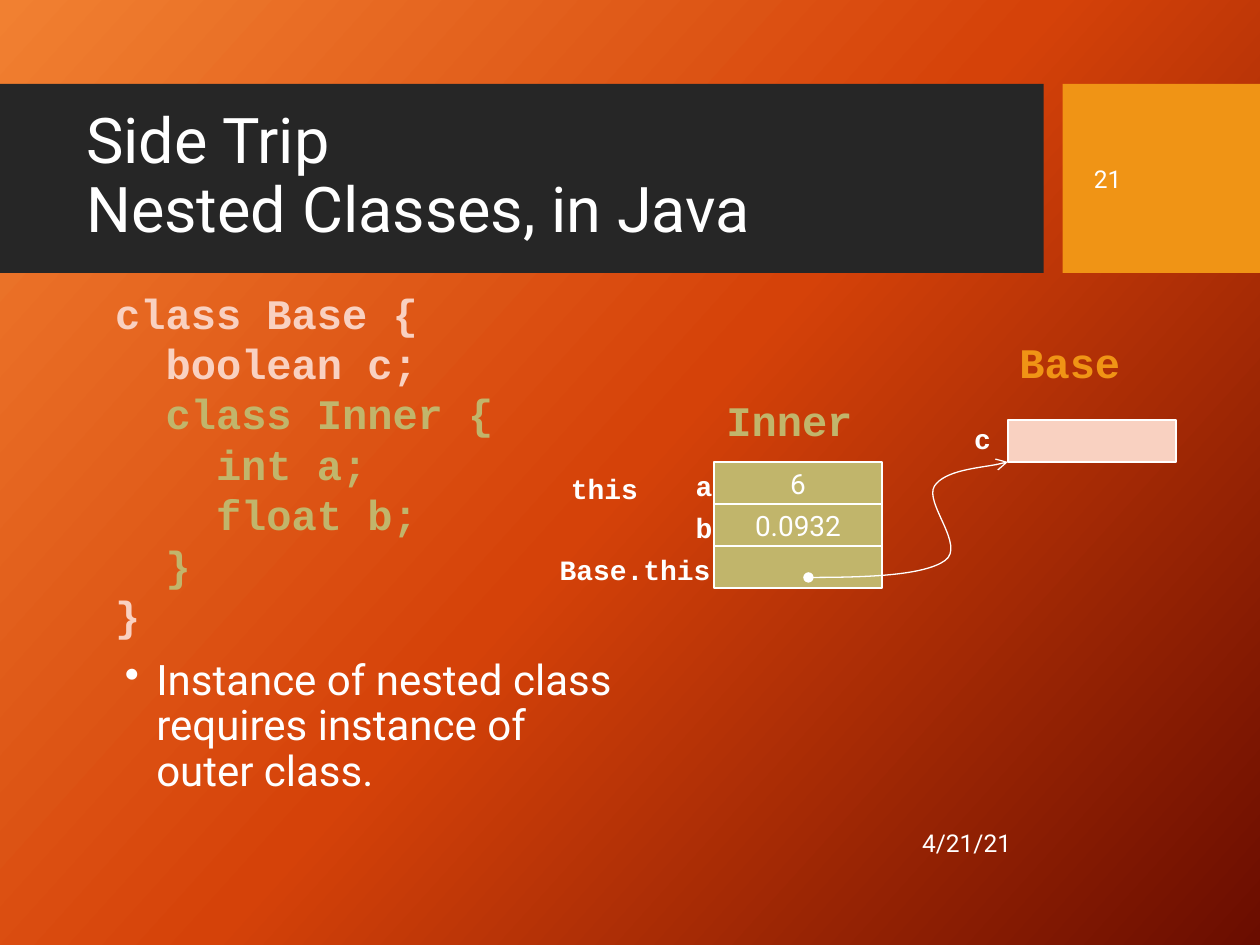
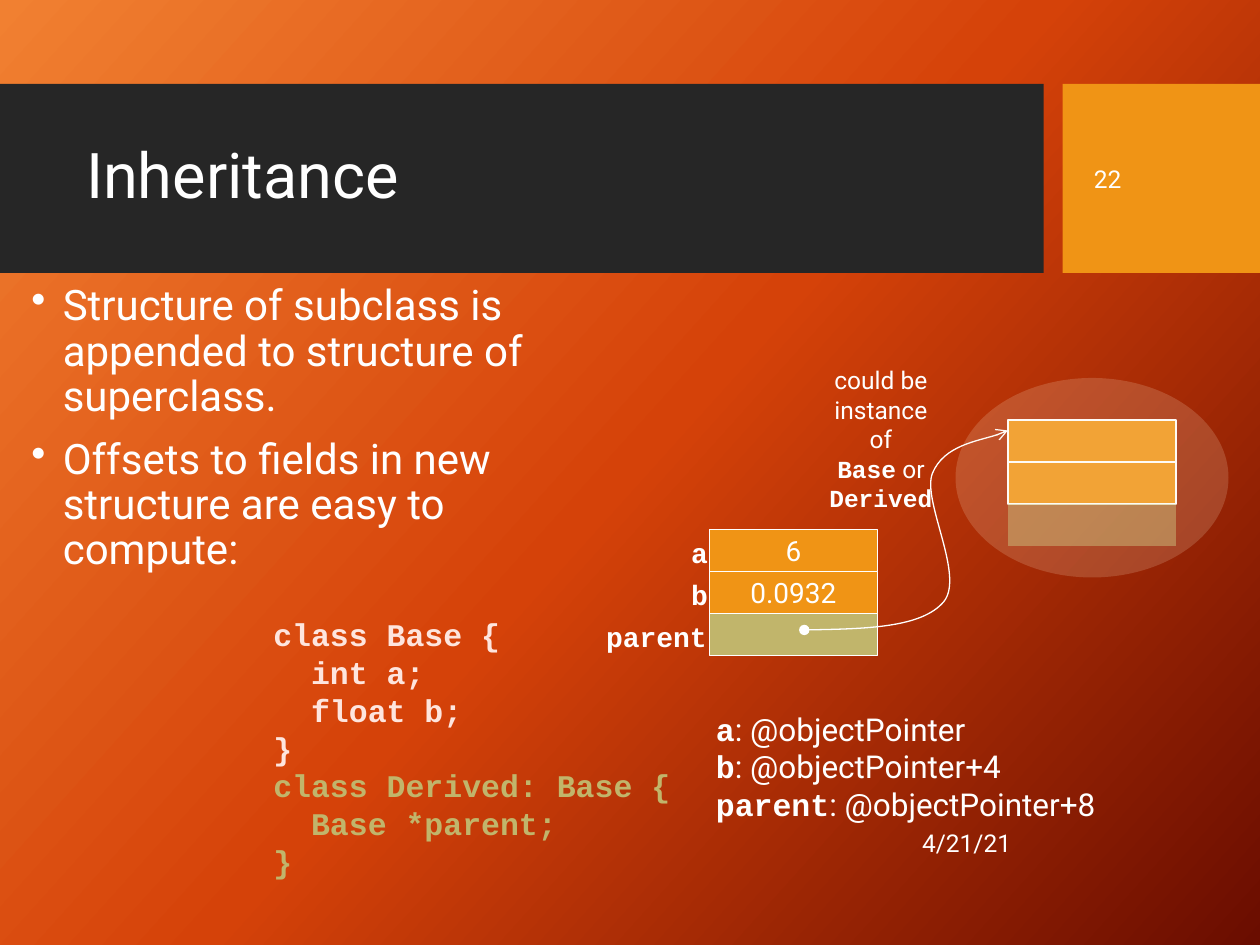
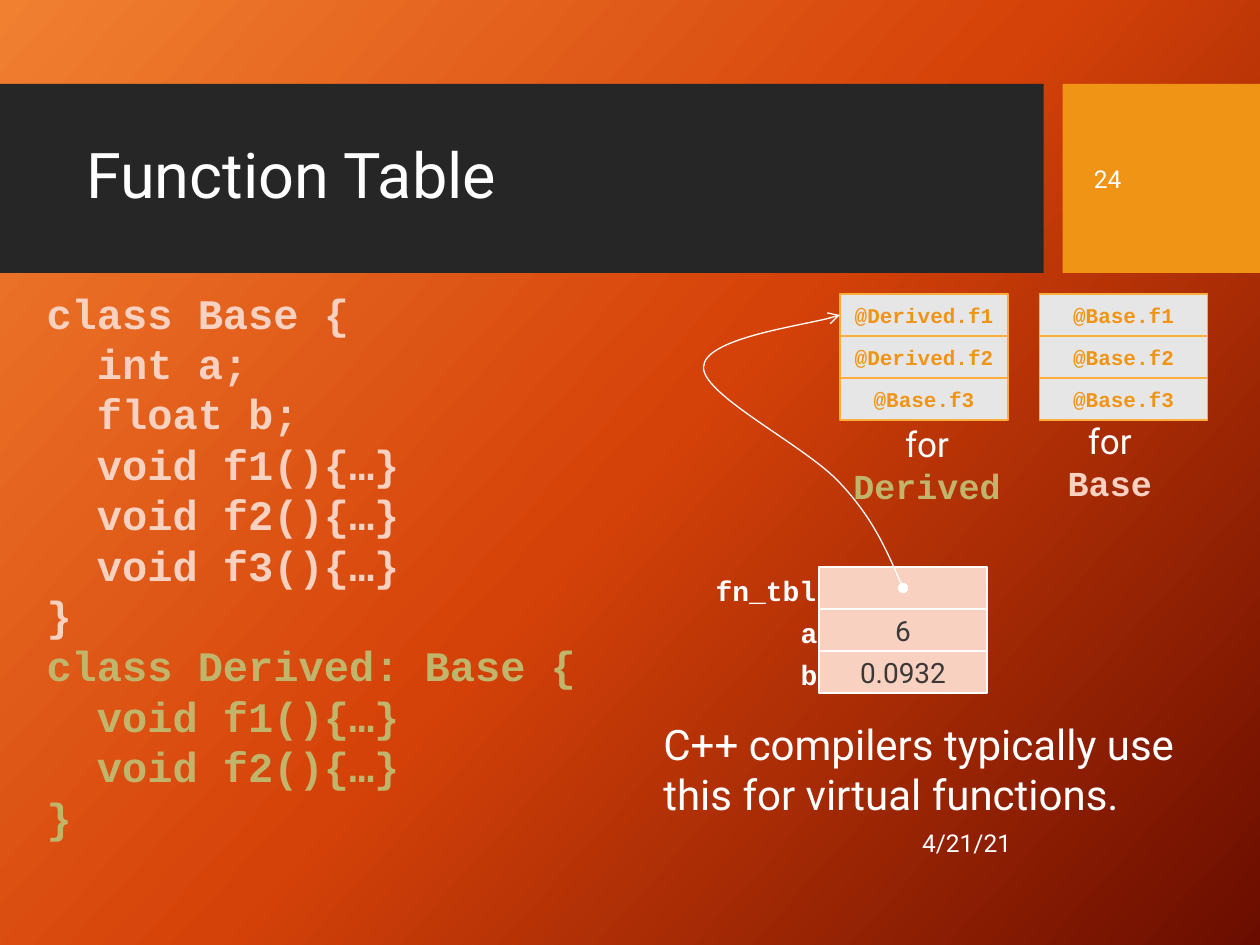
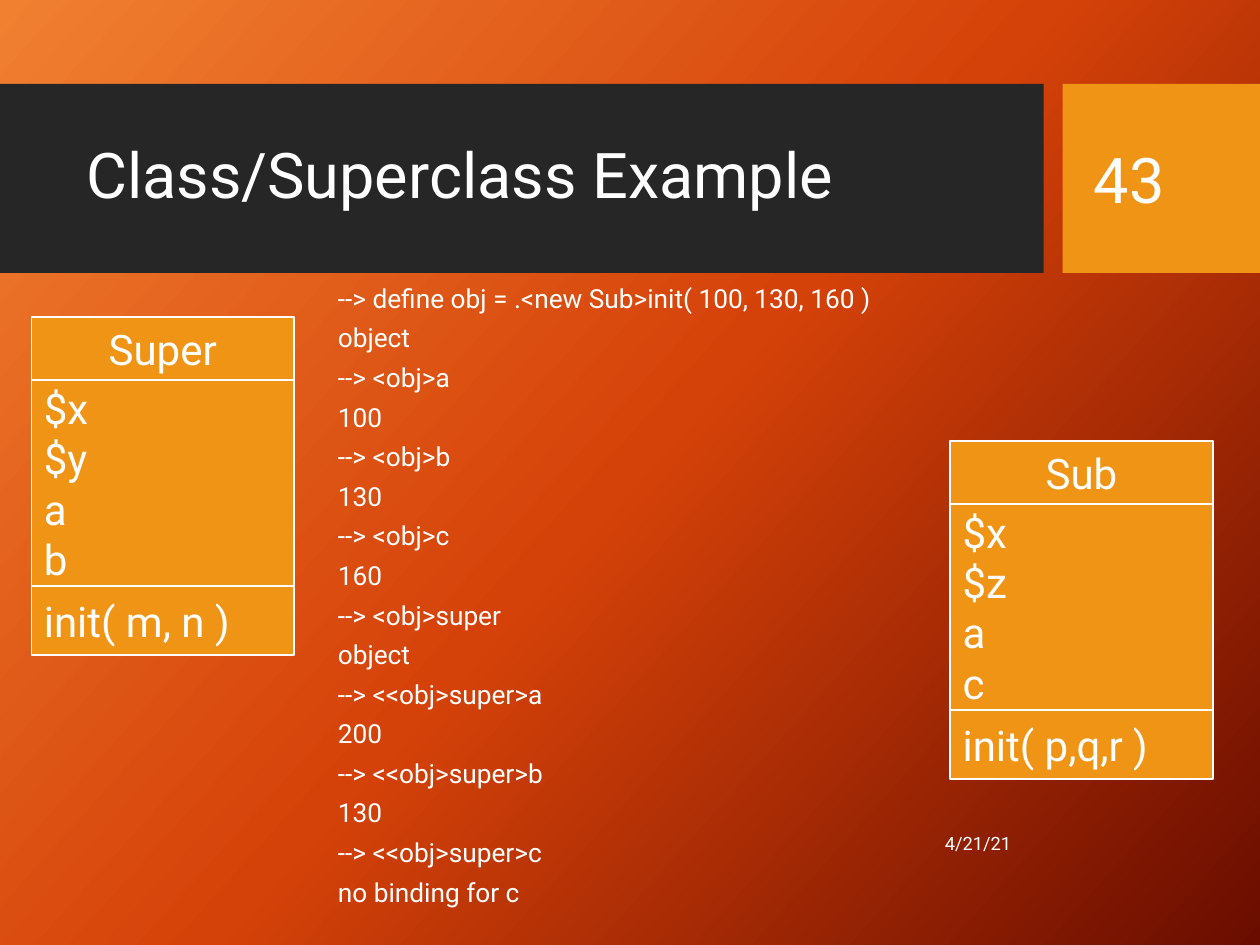
from copy import deepcopy

from lxml import etree
from pptx import Presentation
from pptx.dml.color import RGBColor
from pptx.enum.shapes import MSO_SHAPE
from pptx.enum.text import MSO_ANCHOR, MSO_AUTO_SIZE, PP_ALIGN
from pptx.oxml.ns import qn
from pptx.util import Inches, Pt

RECT, OVAL = MSO_SHAPE.RECTANGLE, MSO_SHAPE.OVAL
LEFT, CENTER, RIGHT = PP_ALIGN.LEFT, PP_ALIGN.CENTER, PP_ALIGN.RIGHT
TOP, MIDDLE = MSO_ANCHOR.TOP, MSO_ANCHOR.MIDDLE
NO_FIT = MSO_AUTO_SIZE.NONE

COLORS = {
    "white": "FFFFFF", "band": "262626", "gold": "F09415", "amber": "FFAE3E",
    "peach": "F9D1C1", "blush": "FEE5DE", "cream": "FCEAD0", "olive": "C1B56B",
    "gray": "E7E6E6", "ink": "3B3838",
    "sky": "F18031", "ember": "D54209", "maroon": "6A0D00",
}
SANS, MONO = "Roboto", "Courier New"
STYLES = {
    "plain": (SANS, "white", False),
    "ink": (SANS, "ink", False),
    "name": (MONO, "white", True),
    "base": (MONO, "peach", True),
    "soft": (MONO, "blush", True),
    "inner": (MONO, "olive", True),
    "entry": (MONO, "gold", True),
}
COLUMNS, ROWS = 120, 90
CELL_W, CELL_H = 16, 4
INSET_W, INSET_H = 2.4, 1.2


def rgb(name):
    return RGBColor.from_string(COLORS[name])


class Deck:
    def __init__(self):
        self.prs = Presentation()
        self.prs.slide_width, self.prs.slide_height = Inches(10), Inches(7.5)
        self.slide = None
        self.paint_background()

    def x(self, columns):
        return round(self.prs.slide_width * columns / COLUMNS)

    def y(self, rows):
        return round(self.prs.slide_height * rows / ROWS)

    def area(self, col, row, width, height):
        return self.x(col), self.y(row), self.x(width), self.y(height)

    def paint_background(self):
        background = self.prs.slide_master.background
        fill = background.fill
        fill.gradient()
        fill.gradient_angle = 360 - 42
        stop_list = background._cSld.xpath(".//a:gsLst")[0]
        stop_list.append(deepcopy(stop_list[0]))
        for stop, color, share in zip(fill.gradient_stops, ("sky", "ember", "maroon"), (0, 0.5, 1)):
            stop.color.rgb = rgb(color)
            stop.position = share

    def add_bands(self):
        master_tree = self.prs.slide_master.shapes._spTree
        for number, (col, width, color) in enumerate([(0, 99.4, "band"), (101.2, 18.8, "gold")]):
            band = self.box(col, 8, width, 18, color)
            band._element.nvSpPr.cNvPr.set("id", str(100 + number))
            master_tree.insert(2 + number, band._element)

    def start(self, title, page, page_size=14, date_size=14):
        self.slide = self.prs.slides.add_slide(self.prs.slide_layouts[5])
        if len(self.prs.slides) == 1:
            self.add_bands()
        heading = self.slide.shapes.title
        heading.left, heading.top, heading.width, heading.height = self.area(7, 9.84, 90.5, 14.16)
        self.fill_text(heading.text_frame, [[(title, "plain")]], 36, anchor=MIDDLE, spacing=0.9)
        self.text(70.5, 77.9, 27, 4.8, [[("4/21/21", "plain")]], date_size, align=RIGHT, anchor=MIDDLE)
        self.text(103, 9.84, 15.2, 14.28, [[(page, "plain")]], page_size, anchor=MIDDLE)

    def fill_text(self, frame, paragraphs, size, align=LEFT, anchor=TOP, spacing=None, before=0):
        frame.word_wrap = True
        frame.auto_size = NO_FIT
        frame.vertical_anchor = anchor
        for number, runs in enumerate(paragraphs):
            para = frame.add_paragraph() if number else frame.paragraphs[0]
            para.alignment = align
            para.space_before = Pt(before)
            if spacing:
                para.line_spacing = spacing
            for words, style in runs:
                for part, line in enumerate(words.split("\n")):
                    if part:
                        para.add_line_break()
                    if line:
                        self.add_run(para, line, size, style)

    def add_run(self, para, words, size, style):
        run = para.add_run()
        run.text = words
        family, color, bold = STYLES[style]
        run.font.name, run.font.size, run.font.bold = family, Pt(size), bold
        run.font.color.rgb = rgb(color)

    def text(self, col, row, width, height, paragraphs, size, **layout):
        frame = self.slide.shapes.add_textbox(*self.area(col, row, width, height)).text_frame
        self.fill_text(frame, paragraphs, size, **layout)
        return frame

    def bullets(self, col, row, width, height, items):
        frame = self.text(col, row, width, height, [[(item, "plain")] for item in items], 24,
                          spacing=0.9, before=10)
        for para in frame.paragraphs:
            props = para._p.get_or_add_pPr()
            props.set("marL", str(Inches(0.25)))
            props.set("indent", str(-Inches(0.25)))
            etree.SubElement(props, qn("a:buChar")).set("char", "•")

    def code_width(self, characters, size):
        return characters * (size * 0.1 + 0.02) + INSET_W

    def code(self, col, row, lines, size):
        width = self.code_width(max(2 * depth + len(line) for depth, line, _ in lines), size)
        height = len(lines) * size * 0.2 + INSET_H
        frame = self.text(col, row, width, height, [[(line, style)] for _, line, style in lines], size)
        for para, (depth, _, _) in zip(frame.paragraphs, lines):
            para._p.get_or_add_pPr().set("marL", str(Pt(depth * size * 1.2)))

    def label(self, col, row, name, size=16, style="name"):
        self.code(col, row, [(0, name, style)], size)

    def box(self, col, row, width, height, fill, line=None, weight=0.75, kind=RECT, opacity=None):
        shape = self.slide.shapes.add_shape(kind, *self.area(col, row, width, height))
        shape.shadow.inherit = False
        shape.fill.solid()
        shape.fill.fore_color.rgb = rgb(fill)
        if opacity:
            tint = shape._element.spPr.find(qn("a:solidFill"))[0]
            etree.SubElement(tint, qn("a:alpha")).set("val", str(opacity * 1000))
        if line:
            shape.line.color.rgb = rgb(line)
            shape.line.width = Pt(weight)
        else:
            shape.line.fill.background()
        return shape

    def record(self, col, row, values, fill, line="white", names=(), size=16, style="plain"):
        fills = [fill] * len(values) if isinstance(fill, str) else fill
        for number, (value, color) in enumerate(zip(values, fills)):
            cell = self.box(col, row + number * CELL_H, CELL_W, CELL_H, color, line)
            if value:
                self.fill_text(cell.text_frame, [[(value, style)]], size, CENTER, MIDDLE)
        for number, name in enumerate(names):
            start = col + 1.1 - self.code_width(len(name), 16)
            self.label(start, row + number * CELL_H, name)

    def class_card(self, col, row, name, fields, method):
        parts = [([name], 6, CENTER), (fields, 19.6, LEFT), ([method], 6.6, LEFT)]
        for lines, height, align in parts:
            part = self.box(col, row, 25, height, "gold", "white", 1)
            self.fill_text(part.text_frame, [[(line, "plain")] for line in lines], 24, align, MIDDLE)
            row += height

    def pointer(self, start, *controls):
        builder = self.slide.shapes.build_freeform(self.x(start[0]), self.y(start[1]))
        builder.add_line_segments([(self.x(col), self.y(row)) for col, row in controls], close=False)
        curve = builder.convert_to_shape()
        outline = curve._element.xpath(".//a:path")[0]
        segments = outline.findall(qn("a:lnTo"))
        for first in range(0, len(segments), 3):
            bend = etree.SubElement(outline, qn("a:cubicBezTo"))
            for segment in segments[first:first + 3]:
                bend.append(segment[0])
                outline.remove(segment)
        curve.shadow.inherit = False
        curve.fill.background()
        curve.line.color.rgb = rgb("white")
        curve.line.width = Pt(0.75)
        stroke = curve._element.spPr.find(qn("a:ln"))
        for end, mark in (("a:headEnd", "oval"), ("a:tailEnd", "arrow")):
            etree.SubElement(stroke, qn(end)).set("type", mark)


def nested_classes(deck):
    deck.start("Side Trip\nNested Classes, in Java", "21")
    deck.bullets(10.7, 62.2, 50, 17, ["Instance of nested class requires instance of outer class."])
    deck.code(9.8, 26.75, [
        (0, "class Base {", "base"),
        (1, "boolean c;", "base"),
        (1, "class Inner {", "inner"),
        (2, "int a;", "inner"),
        (2, "float b;", "inner"),
        (1, "}", "inner"),
        (0, "}", "base"),
    ], 24)
    deck.record(68, 44, ["6", "0.0932", ""], "olive", names=["a", "b", "Base.this"])
    deck.record(96, 40, [""], "peach")
    deck.pointer((77, 55), (82.5, 55), (88, 54.8), (90, 53.4), (92, 52), (88, 47.9),
                 (89, 46.3), (90, 44.8), (94.8, 44.4), (96, 44))
    deck.label(53.2, 44.3, "this")
    deck.label(91.6, 39.6, "c")
    deck.label(95.9, 31.45, "Base", 24, "entry")
    deck.label(68, 37, "Inner", 24, "inner")


def inheritance(deck):
    deck.start("Inheritance", "22")
    deck.bullets(1.8, 26.5, 50, 30.6, [
        "Structure of subclass is appended to structure of superclass.",
        "Offsets to fields in new structure are easy to compute:",
    ])
    deck.code(24.85, 58, [
        (0, "class Base {", "soft"),
        (1, "int a;", "soft"),
        (1, "float b;", "soft"),
        (0, "}", "soft"),
        (0, "class Derived: Base {", "inner"),
        (1, "Base *parent;", "inner"),
        (0, "}", "inner"),
    ], 18)
    deck.record(67.56, 50.4, ["6", "0.0932", ""], ["gold", "gold", "olive"],
                names=["a", "b", "parent"])
    deck.record(96, 40, ["", ""], "gold")
    deck.box(96, 48, CELL_W, CELL_H, "olive", opacity=50)
    deck.pointer((76.6, 60), (82.2, 59.9), (87.8, 59.8), (89.9, 57.3), (91.9, 54.8), (87.8, 47.7),
                 (88.8, 45.1), (89.9, 42.4), (94.8, 41.7), (96, 41))
    offsets = [("a", ""), ("b", "+4"), ("parent", "+8")]
    deck.text(67, 67, 39.1, 12,
              [[(field, "name"), (f": @objectPointer{offset}", "plain")] for field, offset in offsets], 18)
    deck.box(91, 36, 26, 19, "cream", kind=OVAL, opacity=18)
    deck.text(77, 34.2, 13.8, 12.5, [
        [("could be", "plain")],
        [("instance of", "plain")],
        [("Base", "name"), (" or", "plain")],
        [("Derived", "name")],
    ], 14, align=CENTER)


def function_table(deck):
    deck.start("Function Table", "24")
    deck.code(3.25, 26.75, [
        (0, "class Base {", "base"),
        (1, "int a;", "base"),
        (1, "float b;", "base"),
        (1, "void f1(){…}", "base"),
        (1, "void f2(){…}", "base"),
        (1, "void f3(){…}", "base"),
        (0, "}", "base"),
        (0, "class Derived: Base {", "inner"),
        (1, "void f1(){…}", "inner"),
        (1, "void f2(){…}", "inner"),
        (0, "}", "inner"),
    ], 24)
    tables = [
        (80, ["@Derived.f1", "@Derived.f2", "@Base.f3"]),
        (99, ["@Base.f1", "@Base.f2", "@Base.f3"]),
    ]
    for col, entries in tables:
        deck.record(col, 28, entries, "gray", "amber", size=12, style="entry")
    captions = [(80, 39.6, 16.6, "Derived", "inner"), (100.4, 39.4, 10.6, "Base", "base")]
    for col, row, width, owner, style in captions:
        deck.text(col, row, width, 9.2, [[("for\n", "plain"), (owner, style)]], 20, align=CENTER)
    deck.record(78, 54, ["", "6", "0.0932"], "peach", names=["fn_tbl", "a", "b"], style="ink")
    deck.pointer((86, 56), (84.6, 52.8), (83.2, 49.4), (80, 46), (76.8, 42.5), (67, 37.7),
                 (67, 35), (67, 32.3), (77.9, 30.8), (80, 30))
    deck.text(62, 67.8, 52, 10.9,
              [[("C++ compilers typically use\nthis for virtual functions.", "plain")]], 24)


def superclass_example(deck):
    deck.start("Class/Superclass Example", "43", page_size=36, date_size=10.5)
    session = [
        ("define obj = .<new Sub>init( 100, 130, 160 )", "object"),
        ("<obj>a", "100"),
        ("<obj>b", "130"),
        ("<obj>c", "160"),
        ("<obj>super", "object"),
        ("<<obj>super>a", "200"),
        ("<<obj>super>b", "130"),
        ("<<obj>super>c", "no binding for c"),
    ]
    transcript = [[(line, "plain")] for entry, reply in session for line in (f"--> {entry}", reply)]
    deck.text(31, 27.1, 59, 62.9, transcript, 15, spacing=0.7, before=10)
    deck.class_card(3, 30.2, "Super", ["$x", "$y", "a", "b"], "init( m, n )")
    deck.class_card(90.5, 42, "Sub", ["$x", "$z", "a", "c"], "init( p,q,r )")


def main():
    deck = Deck()
    for build in (nested_classes, inheritance, function_table, superclass_example):
        build(deck)
    deck.prs.save("out.pptx")


if __name__ == "__main__":
    main()
